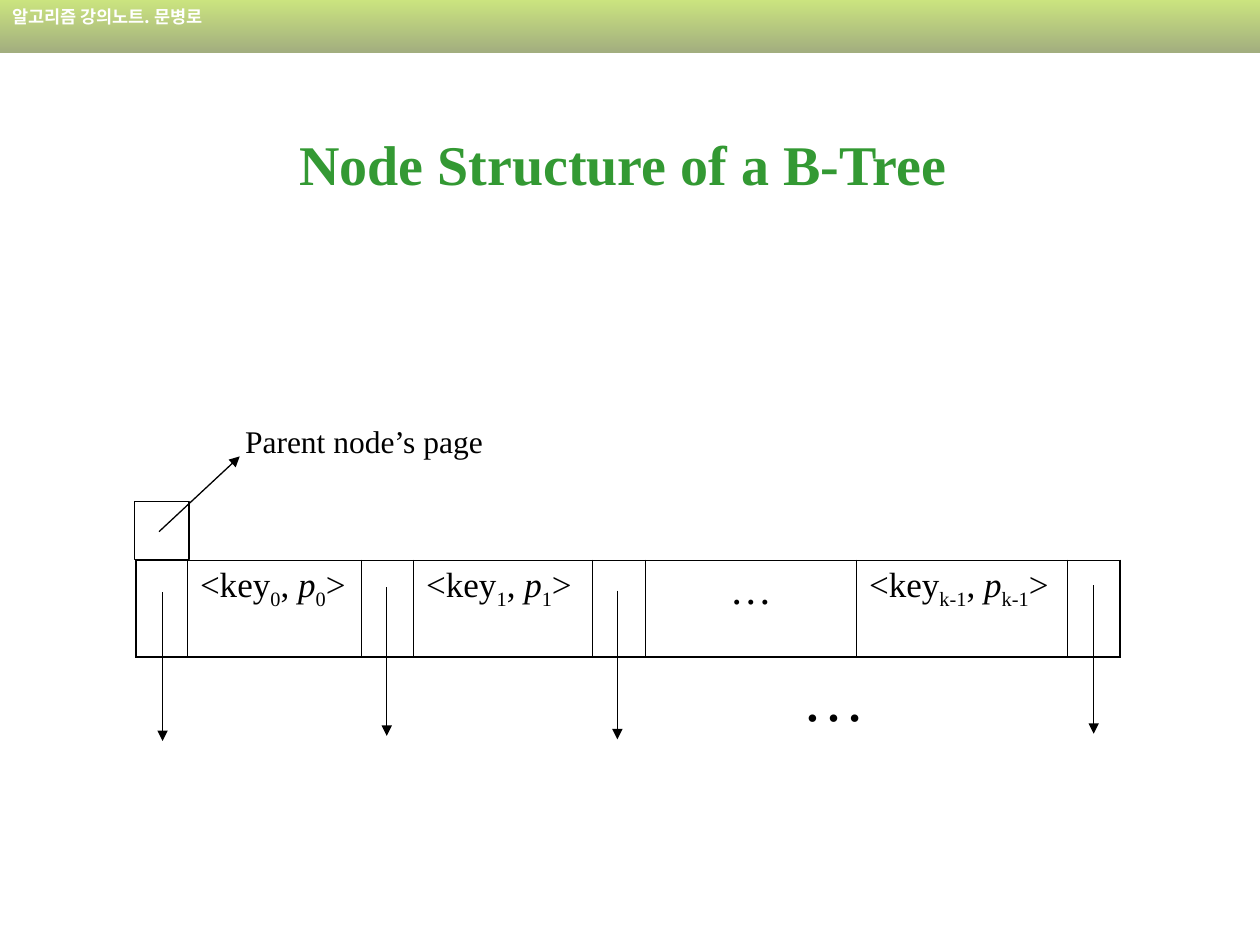
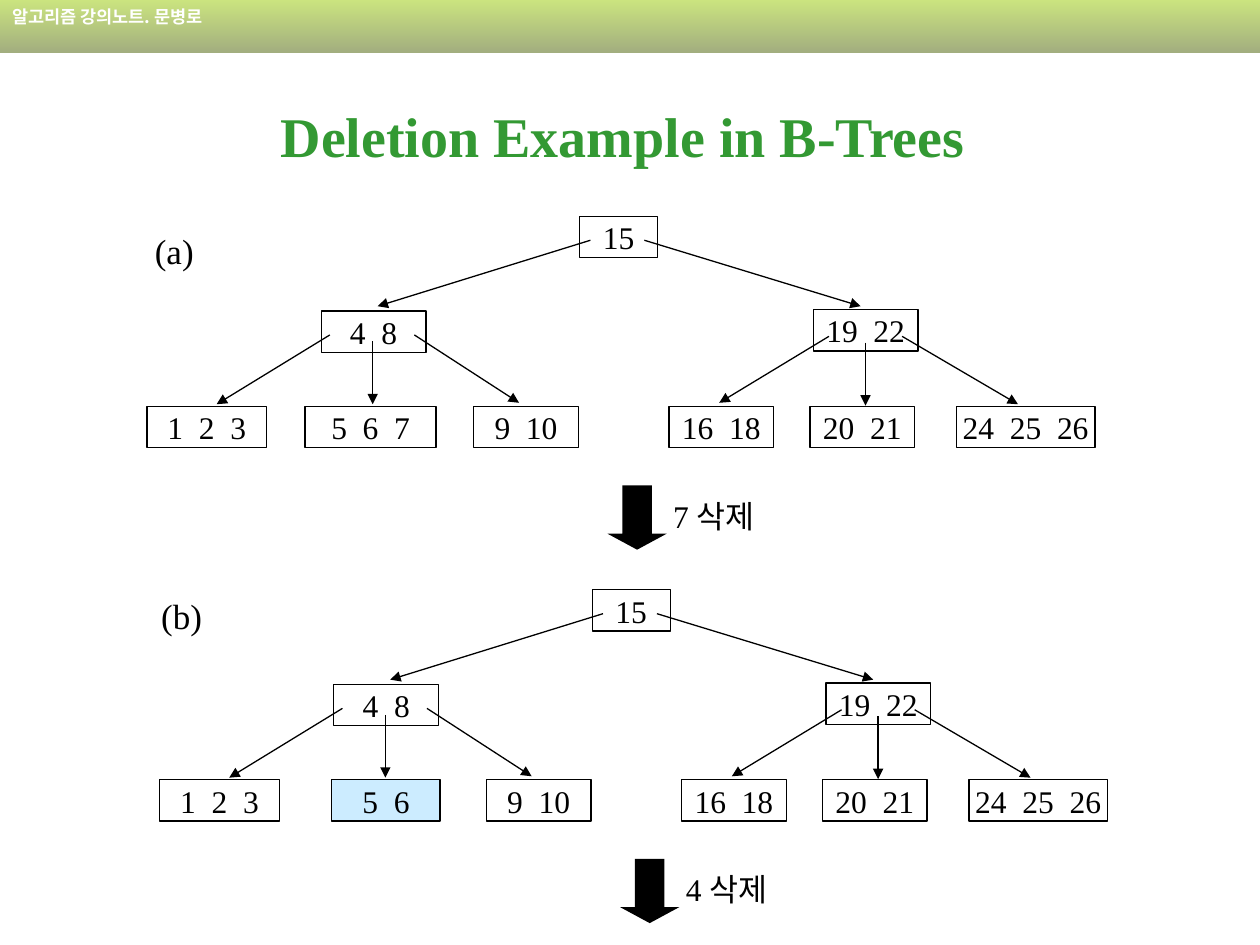
from dataclasses import dataclass
from typing import Any, Optional

import lxml.etree
import pptx
import pptx.dml.color
import pptx.enum.shapes
import pptx.enum.text
import pptx.oxml.ns
import pptx.util

Pt = pptx.util.Pt
RGB = pptx.dml.color.RGBColor
SHAPE = pptx.enum.shapes.MSO_SHAPE
ALIGN = pptx.enum.text.PP_ALIGN
ANCHOR = pptx.enum.text.MSO_ANCHOR
qn = pptx.oxml.ns.qn


@dataclass(frozen=True)
class Theme:
    black: RGB = RGB(0, 0, 0)
    white: RGB = RGB(255, 255, 255)
    title: RGB = RGB(0x33, 0x99, 0x33)
    changed: RGB = RGB(0xCC, 0xEC, 0xFF)
    band: tuple[RGB, RGB] = (RGB(0x99, 0xCC, 0), RGB(0x47, 0x5E, 0))
    latin: str = "Times New Roman"
    korean: str = "Noto Sans CJK KR"
    band_size: float = 10
    label_size: float = 18
    key_size: float = 20
    dots_size: float = 24
    title_size: float = 32
    big_dots_size: float = 36
    line: float = 0.75
    table_outer: float = 1.08
    table_inner: float = 0.45


@dataclass(frozen=True)
class Label:
    text: str
    left: float
    top: float
    width: float
    height: float
    size: float


@dataclass(frozen=True)
class Node:
    text: str
    left: float
    top: float
    width: float
    height: float = 23.6
    fill: Optional[RGB] = None


@dataclass(frozen=True)
class Arrow:
    x1: float
    y1: float
    x2: float
    y2: float


T = Theme()
MID_TOP, LEAF_TOP = 177.3, 232.2
STEP_SHIFT = (7.2, 213.4)

UPPER_NODES = [
    Node("15", 331.2, 123.6, 44.6),
    Node("4  8", 183.6, MID_TOP + 0.4, 59.8),
    Node("19  22", 464.8, MID_TOP - 0.4, 59.8),
    Node("1  2  3", 84, LEAF_TOP, 68.4),
    Node("9  10", 270.7, LEAF_TOP, 59.8),
    Node("16  18", 382.3, LEAF_TOP, 59.8),
    Node("20  21", 462.8, LEAF_TOP, 59.8),
    Node("24  25  26", 546.5, LEAF_TOP, 79.2),
]
CHANGING_LEAF = [
    Node("5  6  7", 174.4, LEAF_TOP, 74.9),
    Node("5  6", 182.4, LEAF_TOP, 61.9, fill=T.changed),
]
TREE_ARROWS = [
    Arrow(337.4, 137.3, 215.8, 175),
    Arrow(368.2, 137.3, 491.8, 175),
    Arrow(188.5, 191.4, 123.8, 231),
    Arrow(213, 195.1, 213, 231),
    Arrow(236.8, 191.4, 296.6, 230.2),
    Arrow(473.7, 192.2, 411, 230.2),
    Arrow(494.6, 195.8, 494.6, 231.8),
    Arrow(515.5, 192.2, 581.7, 231),
]
STEP_LABELS = [
    Label("(a)", 81.4, 127.4, 44, 31.7, T.key_size),
    Label("(b)", 85, 336.2, 44, 31.7, T.key_size),
]
DELETIONS = ["7 삭제", "4 삭제"]

POINTER_LENGTH = 85
POINTER_STARTS = [(92.9, 338.4), (221, 335.5), (352.8, 337.5), (625, 334.3)]
COLUMN_WIDTHS = [29.3, 99.4, 29.9, 102.2, 30.2, 120.7, 120.7, 29.9]
KEY_COLUMNS = {1: "0", 3: "1", 6: "k-1"}
DOTS_COLUMN = 5


def set_font(p: Any, size: float, color: RGB = T.black, bold: bool = False,
             latin: str = T.latin) -> None:
    f = p.font
    f.size, f.bold, f.name = Pt(size), bold, latin
    f.color.rgb = color
    ea = lxml.etree.SubElement(f._element, qn("a:ea"))
    ea.set("typeface", T.korean)


def add_label(s: Any, label: Label, dx: float = 0, dy: float = 0) -> None:
    sp = s.shapes.add_textbox(Pt(label.left + dx), Pt(label.top + dy),
                              Pt(label.width), Pt(label.height))
    tf = sp.text_frame
    tf.word_wrap = False
    tf.text = label.text
    set_font(tf.paragraphs[0], label.size)


def add_node(s: Any, node: Node, dx: float = 0, dy: float = 0) -> None:
    sp = s.shapes.add_shape(SHAPE.RECTANGLE, Pt(node.left + dx), Pt(node.top + dy),
                            Pt(node.width), Pt(node.height))
    sp.shadow.inherit = False
    if node.fill is None:
        sp.fill.background()
    else:
        sp.fill.solid()
        sp.fill.fore_color.rgb = node.fill
    sp.line.color.rgb = T.black
    sp.line.width = Pt(T.line)
    if node.text:
        tf = sp.text_frame
        tf.word_wrap = False
        tf.vertical_anchor = ANCHOR.MIDDLE
        tf.text = node.text
        p = tf.paragraphs[0]
        p.alignment = ALIGN.CENTER
        set_font(p, T.label_size)


def add_arrow(s: Any, arrow: Arrow, dx: float = 0, dy: float = 0) -> None:
    cn = s.shapes.add_connector(pptx.enum.shapes.MSO_CONNECTOR.STRAIGHT,
                                Pt(arrow.x1 + dx), Pt(arrow.y1 + dy),
                                Pt(arrow.x2 + dx), Pt(arrow.y2 + dy))
    cn.line.color.rgb = T.black
    cn.line.width = Pt(T.line)
    tail = lxml.etree.SubElement(cn.line._get_or_add_ln(), qn("a:tailEnd"))
    tail.set("type", "triangle")
    lxml.etree.SubElement(cn._element.spPr, qn("a:effectLst"))


def add_down_arrow(s: Any, dx: float, dy: float) -> None:
    sp = s.shapes.add_shape(SHAPE.DOWN_ARROW, Pt(347.2 + dx), Pt(277.4 + dy),
                            Pt(33.8), Pt(36.7))
    sp.shadow.inherit = False
    sp.adjustments[0], sp.adjustments[1] = 0.5, 0.27
    sp.fill.solid()
    sp.fill.fore_color.rgb = T.black
    sp.line.fill.background()


def add_title(s: Any, text: str, top: float) -> None:
    sp = s.shapes.title
    sp.left, sp.top, sp.width, sp.height = Pt(54), Pt(top), Pt(612), Pt(90)
    tf = sp.text_frame
    tf.vertical_anchor = ANCHOR.MIDDLE
    tf.text = text
    p = tf.paragraphs[0]
    p.alignment = ALIGN.CENTER
    set_font(p, T.title_size, T.title, bold=True)


def move_band_to_layout(s: Any, width: int) -> None:
    sp = s.shapes.add_shape(SHAPE.RECTANGLE, 0, 0, width, Pt(30.2))
    sp.shadow.inherit = False
    sp.line.fill.background()
    sp.fill.gradient()
    sp.fill.gradient_angle = 270
    for stop, color in zip(sp.fill.gradient_stops, T.band):
        stop.color.rgb = color
    for color in sp._element.spPr.iter(qn("a:srgbClr")):
        lxml.etree.SubElement(color, qn("a:alpha")).set("val", "50000")
    tf = sp.text_frame
    tf.vertical_anchor = ANCHOR.TOP
    tf.text = "알고리즘 강의노트. 문병로"
    p = tf.paragraphs[0]
    p.alignment = ALIGN.LEFT
    set_font(p, T.band_size, T.white, bold=True, latin=T.korean)
    s.slide_layout.shapes._spTree.insert(2, sp._element)


def set_borders(cell: Any, first: bool, last: bool) -> None:
    widths = {
        "a:lnL": T.table_outer if first else T.table_inner,
        "a:lnR": T.table_outer if last else T.table_inner,
        "a:lnT": T.table_outer,
        "a:lnB": T.table_outer,
    }
    tc_pr = cell._tc.get_or_add_tcPr()
    for i, (tag, width) in enumerate(widths.items()):
        ln = lxml.etree.Element(qn(tag), w=str(int(Pt(width))))
        fill = lxml.etree.SubElement(ln, qn("a:solidFill"))
        lxml.etree.SubElement(fill, qn("a:srgbClr")).set("val", str(T.black))
        tc_pr.insert(i, ln)


def write_key(p: Any, index: str) -> None:
    for text in ("<key", index, ", ", "p", index, ">"):
        r = p.add_run()
        r.text = text
        if text == index:
            r._r.get_or_add_rPr().set("baseline", "-25000")
        if text == "p":
            r.font.italic = True
    set_font(p, T.key_size)


def add_node_table(s: Any) -> None:
    table = s.shapes.add_table(1, len(COLUMN_WIDTHS), Pt(77.8), Pt(320.2),
                               Pt(sum(COLUMN_WIDTHS)), Pt(55.4)).table
    table.first_row = table.horz_banding = False
    for i, width in enumerate(COLUMN_WIDTHS):
        table.columns[i].width = Pt(width)
        cell = table.cell(0, i)
        cell.fill.background()
        set_borders(cell, i == 0, i == len(COLUMN_WIDTHS) - 1)
        p = cell.text_frame.paragraphs[0]
        if i in KEY_COLUMNS:
            write_key(p, KEY_COLUMNS[i])
        elif i == DOTS_COLUMN:
            p.text = "…"
            p.alignment = ALIGN.CENTER
            set_font(p, T.dots_size)


def build_node_structure(s: Any) -> None:
    add_title(s, "Node Structure of a B-Tree ", 48.2)
    add_node_table(s)
    for x, y in POINTER_STARTS:
        add_arrow(s, Arrow(x, y, x, y + POINTER_LENGTH))
    add_label(s, Label("…", 451.4, 373, 50.4, 50.4, T.big_dots_size))
    add_node(s, Node("", 77, 286.6, 31, 33.1))
    add_arrow(s, Arrow(90.9, 303.8, 137, 260.8))
    add_label(s, Label("Parent node’s page", 133, 237.6, 151.2, 28.8, T.label_size))


def build_deletion_example(s: Any) -> None:
    add_title(s, "Deletion Example in B-Trees ", 32.4)
    for step, (leaf, deletion, label) in enumerate(
            zip(CHANGING_LEAF, DELETIONS, STEP_LABELS)):
        dx, dy = (step * shift for shift in STEP_SHIFT)
        for node in UPPER_NODES + [leaf]:
            add_node(s, node, dx, dy)
        for arrow in TREE_ARROWS:
            add_arrow(s, arrow, dx, dy)
        add_down_arrow(s, dx, dy)
        add_label(s, Label(deletion, 377.6, 280.4, 72, 28.8, T.label_size), dx, dy)
        add_label(s, label)


def main() -> None:
    prs = pptx.Presentation()
    prs.slide_width, prs.slide_height = Pt(720), Pt(540)
    layout = prs.slide_layouts[5]
    slides = [prs.slides.add_slide(layout) for _ in range(2)]
    move_band_to_layout(slides[0], prs.slide_width)
    build_node_structure(slides[0])
    build_deletion_example(slides[1])
    prs.save("out.pptx")


if __name__ == "__main__":
    main()
